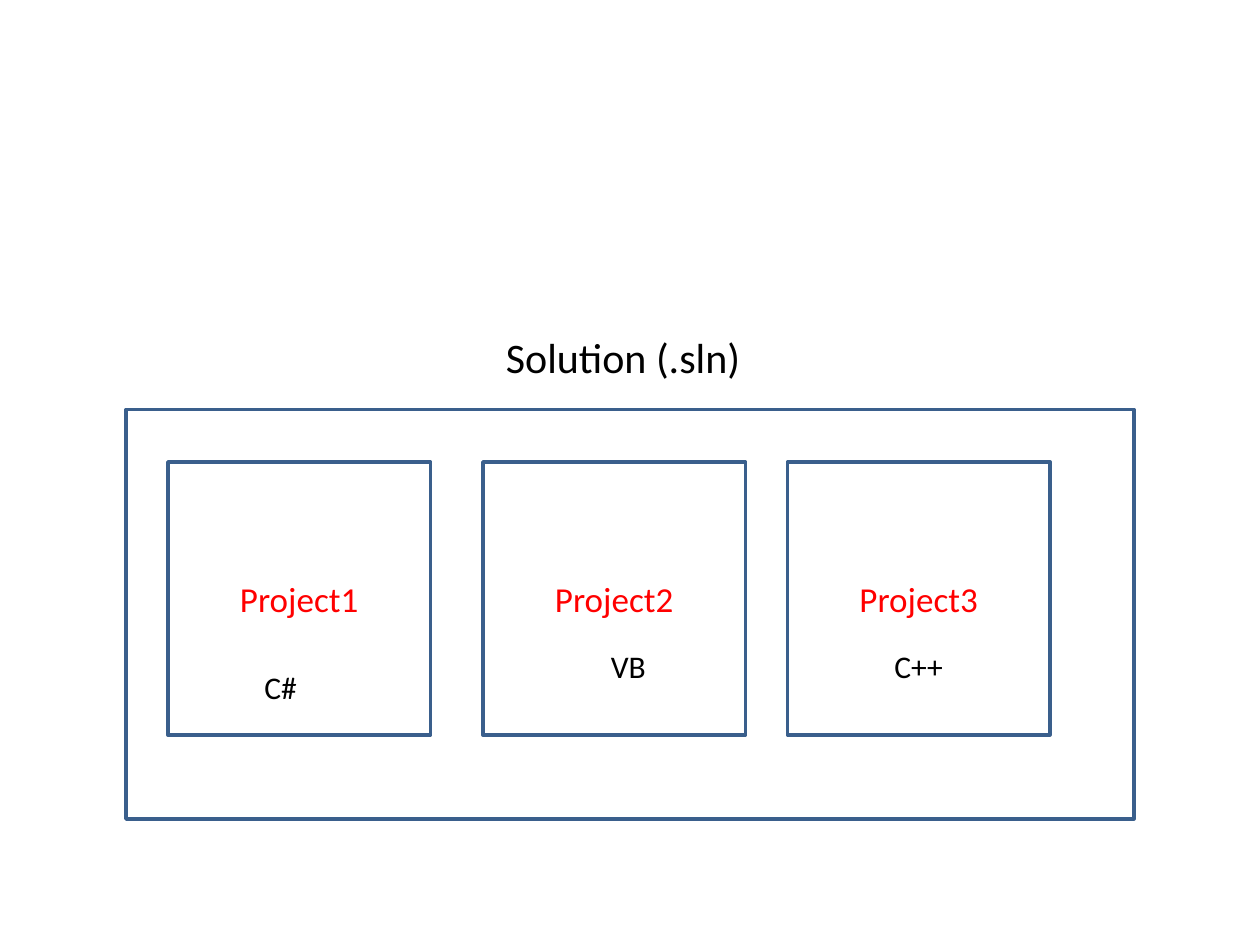
from dataclasses import dataclass

from pptx import Presentation
from pptx.dml.color import RGBColor
from pptx.enum.shapes import MSO_SHAPE
from pptx.enum.text import MSO_ANCHOR, MSO_AUTO_SIZE, PP_ALIGN
from pptx.util import Emu, Pt

RECTANGLE = MSO_SHAPE.RECTANGLE
MIDDLE = MSO_ANCHOR.MIDDLE
FIT_SHAPE = MSO_AUTO_SIZE.SHAPE_TO_FIT_TEXT
CENTER = PP_ALIGN.CENTER
BLANK_LAYOUT = 6
PX = 7620  # EMU in one px, 120 px to the inch


@dataclass(frozen=True)
class Theme:
    font: str = "Calibri"
    outline: RGBColor = RGBColor(0x3A, 0x5F, 0x8C)
    text: RGBColor = RGBColor(0x00, 0x00, 0x00)
    project: RGBColor = RGBColor(0xFF, 0x00, 0x00)
    outline_width: int = 2
    solution_size: int = 24
    project_size: int = 20
    language_size: int = 18


THEME = Theme()

# name, left inside the solution, language, language box inside the project
PROJECTS = [
    ("Project1", 40, "C#", (80, 190, 55, 48)),
    ("Project2", 340, "VB", (110, 170, 58, 48)),
    ("Project3", 630, "C++", (90, 170, 71, 48)),
]


def px(*lengths):
    return [Emu(length * PX) for length in lengths]


def write(frame, text, size, color):
    paragraph = frame.paragraphs[0]
    paragraph.text = text
    paragraph.font.name = THEME.font
    paragraph.font.size = Pt(size)
    paragraph.font.color.rgb = color
    return paragraph


def add_frame(slide, box):
    """Outlined rectangle without a fill."""
    frame = slide.shapes.add_shape(RECTANGLE, *px(*box))
    frame.shadow.inherit = False
    frame.fill.background()
    frame.line.color.rgb = THEME.outline
    frame.line.width = Pt(THEME.outline_width)
    return frame


def add_label(slide, box, text, size):
    """Unwrapped text box that grows with its text."""
    label = slide.shapes.add_textbox(*px(*box)).text_frame
    label.word_wrap = False
    label.auto_size = FIT_SHAPE
    write(label, text, size, THEME.text)


def add_project(slide, box, name):
    project = add_frame(slide, box).text_frame
    project.vertical_anchor = MIDDLE
    write(project, name, THEME.project_size, THEME.project).alignment = CENTER


def add_solution(slide, box):
    left, top, _, _ = box
    add_frame(slide, box)
    add_label(slide, (left + 350, top - 80, 250, 60), "Solution (.sln)",
              THEME.solution_size)

    # Projects inside the solution
    project_top = top + 50
    for name, offset, _, _ in PROJECTS:
        add_project(slide, (left + offset, project_top, 250, 260), name)

    # Language of each project
    for _, offset, language, (x, y, width, height) in PROJECTS:
        add_label(slide, (left + offset + x, project_top + y, width, height),
                  language, THEME.language_size)


def main():
    presentation = Presentation()
    presentation.slide_width, presentation.slide_height = px(1200, 900)
    slide = presentation.slides.add_slide(
        presentation.slide_layouts[BLANK_LAYOUT])
    add_solution(slide, (120, 390, 960, 390))
    presentation.save("out.pptx")


if __name__ == "__main__":
    main()
